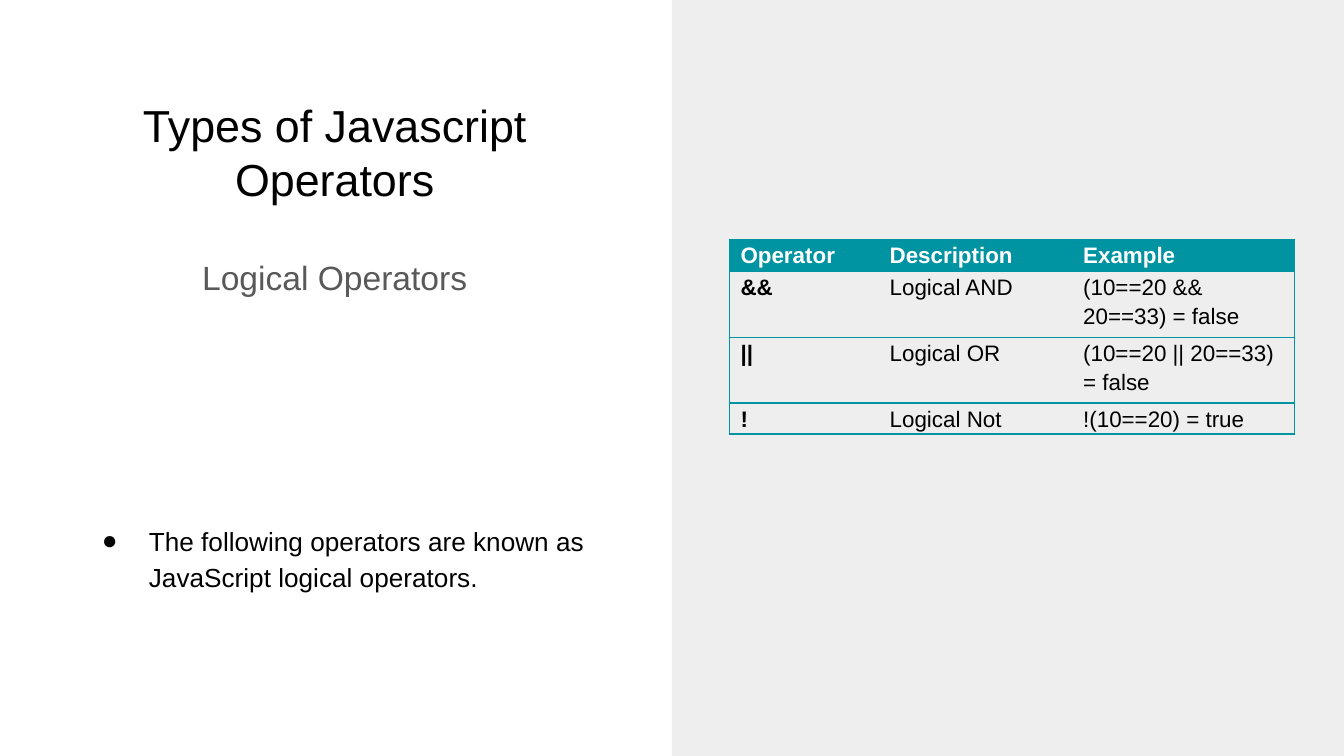
from dataclasses import dataclass

from lxml.etree import SubElement
from pptx import Presentation
from pptx.dml.color import RGBColor
from pptx.enum.shapes import MSO_SHAPE as Preset
from pptx.enum.text import MSO_ANCHOR as Anchor, PP_ALIGN as Align
from pptx.oxml.ns import qn
from pptx.slide import Slide
from pptx.table import _Cell as Cell
from pptx.text.text import _Paragraph as Paragraph
from pptx.util import Inches, Pt

SLIDE_WIDTH = Inches(10)
SLIDE_HEIGHT = SLIDE_WIDTH * 9 // 16
BLACK = RGBColor(0x00, 0x00, 0x00)
WHITE = RGBColor(0xFF, 0xFF, 0xFF)
GRAY = RGBColor(0x59, 0x59, 0x59)
PANEL = RGBColor(0xEE, 0xEE, 0xEE)
TEAL = RGBColor(0x00, 0x94, 0xA3)
FONT = "Arial"
PLAIN_STYLE = "{2D5ABB26-0587-4C30-8999-92F81FD0307C}"


@dataclass
class TextBlock:
    text: str
    left: float
    top: float
    width: float
    height: float
    size: int
    color: RGBColor
    bulleted: bool = False


BLOCKS = [
    TextBlock("Types of Javascript Operators", 0.28, 0.78, 4.42, 0.7, 24, BLACK),
    TextBlock("Logical Operators", 0.28, 1.71, 4.42, 0.7, 18, GRAY),
    TextBlock("The following operators are known as JavaScript logical operators.",
              0.51, 3.18, 4.2, 1.92, 14, BLACK, bulleted=True),
]
OPERATORS = [
    ("Operator", "Description", "Example"),
    ("&&", "Logical AND", "(10==20 && 20==33) = false"),
    ("||", "Logical OR", "(10==20 || 20==33) = false"),
    ("!", "Logical Not", "!(10==20) = true"),
]
COLUMN_WIDTHS = (1.11, 1.44, 1.65)
ROW_HEIGHTS = (0.24, 0.49, 0.49, 0.23)


def set_font(paragraph: Paragraph, size: int, color: RGBColor, bold: bool = False) -> None:
    font = paragraph.font
    font.name, font.size, font.bold = FONT, Pt(size), bold
    font.color.rgb = color


def add_bullet(paragraph: Paragraph) -> None:
    properties = paragraph._p.get_or_add_pPr()
    properties.set("marL", str(Inches(0.5)))
    properties.set("indent", str(Inches(-0.35)))
    bullet_color = SubElement(properties, qn("a:buClr"))
    SubElement(bullet_color, qn("a:srgbClr"), val=str(BLACK))
    SubElement(properties, qn("a:buFont"), typeface=FONT)
    SubElement(properties, qn("a:buChar"), char="●")


def add_text(slide: Slide, block: TextBlock) -> None:
    box = slide.shapes.add_textbox(Inches(block.left), Inches(block.top),
                                   Inches(block.width), Inches(block.height))
    frame = box.text_frame
    frame.word_wrap = True
    frame.vertical_anchor = Anchor.MIDDLE
    frame.margin_left = frame.margin_right = Inches(0.1)
    frame.margin_top = frame.margin_bottom = Inches(0.1)
    paragraph = frame.paragraphs[0]
    paragraph.text = block.text
    if block.bulleted:
        paragraph.line_spacing = 1.15
        add_bullet(paragraph)
    else:
        paragraph.alignment = Align.CENTER
    set_font(paragraph, block.size, block.color)


def set_borders(cell: Cell, sides: str) -> None:
    properties = cell._tc.get_or_add_tcPr()
    for side in sides:
        line = SubElement(properties, qn(f"a:ln{side}"), w=str(Pt(0.75)))
        fill = SubElement(line, qn("a:solidFill"))
        SubElement(fill, qn("a:srgbClr"), val=str(TEAL))
        SubElement(line, qn("a:prstDash"), val="solid")


def fill_cell(cell: Cell, text: str, header: bool, first: bool, last: bool) -> None:
    cell.margin_left = cell.margin_right = Inches(0.08)
    cell.margin_top = cell.margin_bottom = 0
    set_borders(cell, "L" * first + "R" * last + "TB")
    if header:
        cell.fill.solid()
        cell.fill.fore_color.rgb = TEAL
    else:
        cell.fill.background()
    paragraph = cell.text_frame.paragraphs[0]
    paragraph.text = text
    paragraph.line_spacing = 1.15
    set_font(paragraph, 12, WHITE if header else BLACK, header or first)


def add_operator_table(slide: Slide) -> None:
    table = slide.shapes.add_table(
        len(OPERATORS), len(COLUMN_WIDTHS), Inches(5.43), Inches(1.78),
        Inches(sum(COLUMN_WIDTHS)), Inches(sum(ROW_HEIGHTS))).table
    table.first_row = table.horz_banding = False
    table._tbl.tblPr.find(qn("a:tableStyleId")).text = PLAIN_STYLE
    for column, width in zip(table.columns, COLUMN_WIDTHS):
        column.width = Inches(width)
    for row, height in zip(table.rows, ROW_HEIGHTS):
        row.height = Inches(height)
    last = len(COLUMN_WIDTHS) - 1
    for r, operator in enumerate(OPERATORS):
        for c, text in enumerate(operator):
            fill_cell(table.cell(r, c), text, r == 0, c == 0, c == last)


def add_panel(slide: Slide) -> None:
    half = SLIDE_WIDTH // 2
    panel = slide.shapes.add_shape(Preset.RECTANGLE, half, 0, half, SLIDE_HEIGHT)
    panel.shadow.inherit = False
    panel.fill.solid()
    panel.fill.fore_color.rgb = PANEL
    panel.line.fill.background()


def main() -> None:
    deck = Presentation()
    deck.slide_width, deck.slide_height = SLIDE_WIDTH, SLIDE_HEIGHT
    slide = deck.slides.add_slide(deck.slide_layouts[6])
    add_panel(slide)
    for block in BLOCKS:
        add_text(slide, block)
    add_operator_table(slide)
    deck.save("out.pptx")


if __name__ == "__main__":
    main()
